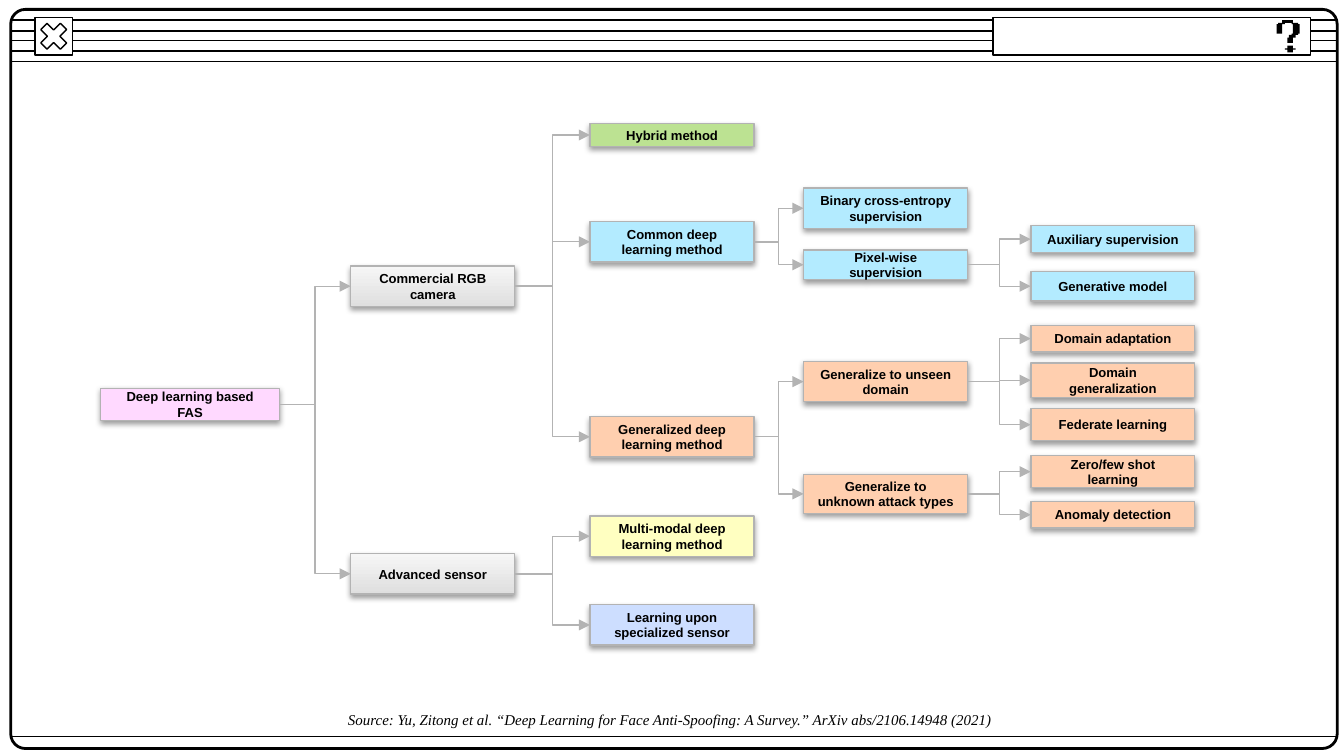
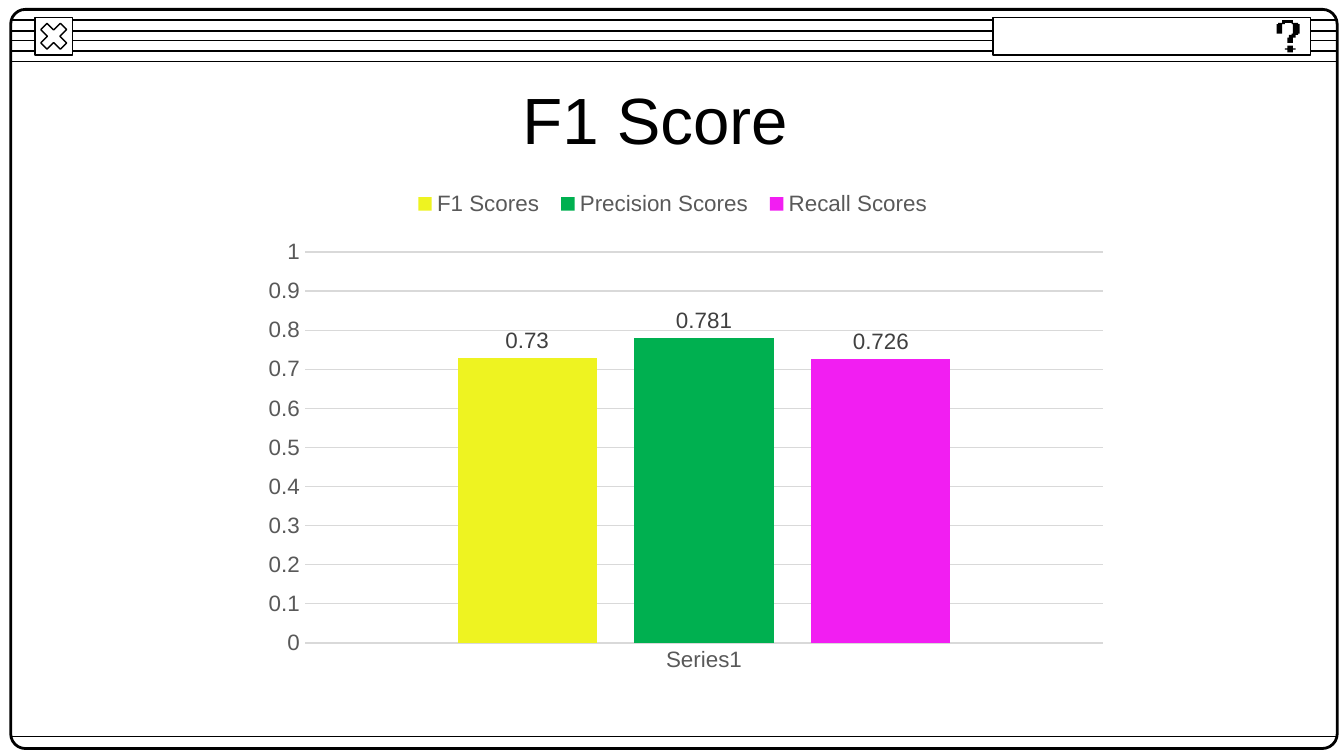
from dataclasses import dataclass

from lxml import etree
from pptx import Presentation
from pptx.chart.data import CategoryChartData
from pptx.dml.color import RGBColor
from pptx.enum.chart import (XL_CHART_TYPE, XL_LABEL_POSITION,
                             XL_LEGEND_POSITION, XL_TICK_MARK)
from pptx.enum.shapes import MSO_CONNECTOR, MSO_SHAPE
from pptx.enum.text import MSO_ANCHOR, MSO_AUTO_SIZE, PP_ALIGN
from pptx.oxml.ns import qn
from pptx.util import Pt

PX = 9144  # EMU in one px, 100 px to the inch
RECT, ROUND, CROSS = MSO_SHAPE.RECTANGLE, MSO_SHAPE.ROUNDED_RECTANGLE, MSO_SHAPE.MATH_MULTIPLY
STRAIGHT, ELBOW = MSO_CONNECTOR.STRAIGHT, MSO_CONNECTOR.ELBOW
MIDDLE, CENTER, FIXED = MSO_ANCHOR.MIDDLE, PP_ALIGN.CENTER, MSO_AUTO_SIZE.NONE
COLUMN, BOTTOM = XL_CHART_TYPE.COLUMN_CLUSTERED, XL_LEGEND_POSITION.BOTTOM
OUTSIDE, NO_TICK = XL_LABEL_POSITION.OUTSIDE_END, XL_TICK_MARK.NONE
LEFT_SIDE, RIGHT_SIDE = 1, 3


@dataclass(frozen=True)
class Theme:
    sans: str = "Arial"
    serif: str = "Times New Roman"
    ink: str = "000000"
    paper: str = "FFFFFF"
    edge: str = "B3B3B3"
    pink: str = "FFD9FF"
    green: str = "BCE292"
    blue: str = "B3EBFF"
    peach: str = "FFCFAF"
    cream: str = "FFFFC1"
    sky: str = "CDDEFF"
    metal: tuple = ("DFDFDF", "F6F6F6")
    grid: str = "D9D9D9"
    axis: str = "595959"
    label: str = "404040"
    bars: tuple = ("EEF321", "00B050", "F21EF2")
    title: int = 35
    chart: int = 12
    source: int = 8
    node: int = 7
    thin: float = 0.75
    thick: float = 1.5


T = Theme()

# Question mark: start point, then turns that alternate down/up and across
HOOK = (954, 15, (17, 951, 18, 950, 25, 954, 18, 956, 17, 961, 18, 962, 25, 961, 26, 959,
                  28, 958, 32, 962, 28, 964, 26, 966, 25, 967, 18, 966, 17, 962, 15))
DOT = (958, 34, (36, 956, 37, 958, 39, 962, 37, 964, 36, 962, 34))

# Left and width of each level of the tree
LEVELS = ((75, 133), (261, 122), (439, 122), (598, 122), (767, 122))

# Level, top, height, fill, text; a node hangs on the last one a level above
TREE = (
    (0, 289, 24, T.pink, "Deep learning based FAS"),
    (1, 198, 30, T.metal, "Commercial RGB camera"),
    (2, 92, 17, T.green, "Hybrid method"),
    (2, 165, 30, T.blue, "Common deep learning method"),
    (3, 140, 30, T.blue, "Binary cross-entropy supervision"),
    (3, 186, 22, T.blue, "Pixel-wise supervision"),
    (4, 168, 20, T.blue, "Auxiliary supervision"),
    (4, 202, 22, T.blue, "Generative model"),
    (2, 310, 30, T.peach, "Generalized deep learning method"),
    (3, 269, 30, T.peach, "Generalize to unseen domain"),
    (4, 242, 20, T.peach, "Domain adaptation"),
    (4, 270, 26, T.peach, "Domain generalization"),
    (4, 304, 24, T.peach, "Federate learning"),
    (3, 353, 29, T.peach, "Generalize to unknown attack types"),
    (4, 339, 24, T.peach, "Zero/few shot learning"),
    (4, 373, 20, T.peach, "Anomaly detection"),
    (1, 412, 30, T.metal, "Advanced sensor"),
    (2, 384, 30, T.cream, "Multi-modal deep learning method"),
    (2, 450, 30, T.sky, "Learning upon specialized sensor"),
)

SCORES = (("F1 Scores", 0.73), ("Precision Scores", 0.781), ("Recall Scores", 0.726))


def emu(*px):
    return [n * PX for n in px]


def put(item, **form):
    for name, value in form.items():
        setattr(item, name, value)


def sub(parent, tag, **attrs):
    return etree.SubElement(parent, qn(tag), **attrs)


def ink(font, size, color, name=T.sans, **form):
    put(font, size=Pt(size), name=name, **form)
    font.color.rgb = RGBColor.from_string(color)


def stroke(line, color, width=T.thin):
    line.color.rgb = RGBColor.from_string(color)
    line.width = Pt(width)


def paint(fill, color):
    """Fill with one colour, with a bottom-to-top pair, or not at all."""
    if color is None:
        fill.background()
    elif isinstance(color, tuple):
        fill.gradient()
        fill.gradient_angle = 90
        for stop, tone in zip(fill.gradient_stops, color):
            stop.color.rgb = RGBColor.from_string(tone)
    else:
        fill.solid()
        fill.fore_color.rgb = RGBColor.from_string(color)


def place(node, index, box, inner=False):
    """Give a chart part a manual layout in fractions of the chart."""
    for old in node.findall(qn("c:layout")):
        node.remove(old)
    layout = etree.Element(qn("c:layout"))
    manual = sub(layout, "c:manualLayout")
    if inner:
        sub(manual, "c:layoutTarget", val="inner")
    for key in ("xMode", "yMode"):
        sub(manual, f"c:{key}", val="edge")
    for key, value in zip("xywh", box):
        sub(manual, f"c:{key}", val=str(value))
    node.insert(index, layout)


class Deck:
    def __init__(self):
        self.file = Presentation()
        put(self.file, slide_width=1000 * PX, slide_height=Pt(405))
        self.slide = None

    def page(self, title=None):
        self.slide = self.file.slides.add_slide(self.file.slide_layouts[5 if title else 6])
        self.frame()
        if title:
            self.title(title)

    def frame(self):
        """Window with a striped bar, a close button and a help field."""
        for y in (15, 23, 30, 38, 46, 548):
            self.rule(8, y, 995, y)
        self.shape(ROUND, 8, 7, 987, 550, None, T.ink, T.thick, 0.02)
        self.shape(RECT, 26, 13, 28, 28, T.paper, T.ink)
        self.shape(CROSS, 26, 13, 28, 28, T.paper, T.ink, adjust=0.235)
        self.shape(RECT, 739, 13, 236, 28, T.paper, T.ink)
        for mark in (DOT, HOOK):
            self.steps(*mark)

    def title(self, text):
        item = self.slide.shapes.title
        put(item, **dict(zip(("left", "top", "width", "height"), emu(196, 42, 583, 92))))
        frame = item.text_frame
        pad = 10 * PX
        put(frame, text=text, word_wrap=True, auto_size=FIXED, vertical_anchor=MIDDLE,
            margin_left=pad, margin_right=pad, margin_top=pad, margin_bottom=pad)
        frame.paragraphs[0].alignment = CENTER
        ink(frame.paragraphs[0].font, T.title, T.ink)

    def rule(self, *ends, kind=STRAIGHT, color=T.ink):
        line = self.slide.shapes.add_connector(kind, *emu(*ends))
        stroke(line.line, color)
        sub(line._element.spPr, "a:effectLst")
        return line

    def shape(self, kind, x, y, w, h, fill, line, width=T.thin, adjust=None):
        item = self.slide.shapes.add_shape(kind, *emu(x, y, w, h))
        if adjust is not None:
            item.adjustments[0] = adjust
        paint(item.fill, fill)
        stroke(item.line, line, width)
        item.shadow.inherit = False
        return item

    def steps(self, x, y, turns):
        pen = self.slide.shapes.build_freeform(x, y, scale=PX)
        points = []
        for i, turn in enumerate(turns):
            x, y = (turn, y) if i % 2 else (x, turn)
            points.append((x, y))
        pen.add_line_segments(points, close=True)
        item = pen.convert_to_shape()
        paint(item.fill, T.ink)
        item.line.fill.background()
        item.shadow.inherit = False

    def node(self, x, y, w, h, fill, text):
        item = self.shape(RECT, x, y, w, h, fill, T.edge)
        glow = sub(item._element.spPr.find(qn("a:effectLst")), "a:outerShdw",
                   blurRad=str(Pt(3.1)), dist=str(Pt(1.6)), dir="5400000", rotWithShape="0")
        sub(sub(glow, "a:srgbClr", val=T.ink), "a:alpha", val="38000")
        put(item.text_frame, text=text, word_wrap=True, vertical_anchor=MIDDLE)
        para = item.text_frame.paragraphs[0]
        para.alignment = CENTER
        ink(para.font, T.node, T.ink, bold=True)
        return item

    def link(self, start, end):
        line = self.rule(0, 0, 0, 0, kind=ELBOW, color=T.edge)
        line.begin_connect(start, RIGHT_SIDE)
        line.end_connect(end, LEFT_SIDE)
        sub(line.line._get_or_add_ln(), "a:tailEnd", type="triangle")

    def tree(self, rows):
        trail = {}
        for level, top, high, fill, text in rows:
            left, wide = LEVELS[level]
            trail[level] = self.node(left, top, wide, high, fill, text)
            if level:
                self.link(trail[level - 1], trail[level])

    def source(self, x, y, w, h, text):
        frame = self.slide.shapes.add_textbox(*emu(x, y, w, h)).text_frame
        put(frame, text=text, word_wrap=True)
        ink(frame.paragraphs[0].font, T.source, T.ink, T.serif, italic=True)

    def chart(self, x, y, w, h, group, scores):
        data = CategoryChartData()
        data.categories = [group]
        for name, value in scores:
            data.add_series(name, [value])
        chart = self.slide.shapes.add_chart(COLUMN, *emu(x, y, w, h), data).chart
        put(chart, has_title=False, has_legend=True)
        ink(chart.font, T.chart, T.axis)
        plot = chart.plots[0]
        put(plot, gap_width=219, overlap=-27, vary_by_categories=False)
        for series, color in zip(plot.series, T.bars):
            paint(series.format.fill, color)
            put(series.data_labels, show_value=True, position=OUTSIDE)
            ink(series.data_labels.font, T.chart, T.label)
        for axis in (chart.category_axis, chart.value_axis):
            put(axis, major_tick_mark=NO_TICK, minor_tick_mark=NO_TICK)
            ink(axis.tick_labels.font, T.chart, T.axis)
        stroke(chart.category_axis.format.line, T.grid)
        put(chart.value_axis, minimum_scale=0, maximum_scale=1, major_unit=0.1)
        chart.value_axis.format.line.fill.background()
        stroke(chart.value_axis.major_gridlines.format.line, T.grid)
        put(chart.legend, position=BOTTOM, include_in_layout=False)
        ink(chart.legend.font, T.chart, T.axis)
        place(chart.legend._element, 1, (0.2, 0.08, 0.6, 0.1))
        area = chart._chartSpace.find(".//" + qn("c:plotArea"))
        place(area, 0, (0.09, 0.22, 0.89, 0.73), inner=True)


def main():
    deck = Deck()
    deck.page()
    deck.tree(TREE)
    deck.source(249, 524, 502, 24, "Source: Yu, Zitong et al. “Deep Learning for Face "
                "Anti-Spoofing: A Survey.” ArXiv abs/2106.14948 (2021)")
    deck.page("F1 Score")
    deck.chart(167, 100, 667, 400, "Series1", SCORES)
    deck.file.save("out.pptx")


if __name__ == "__main__":
    main()
